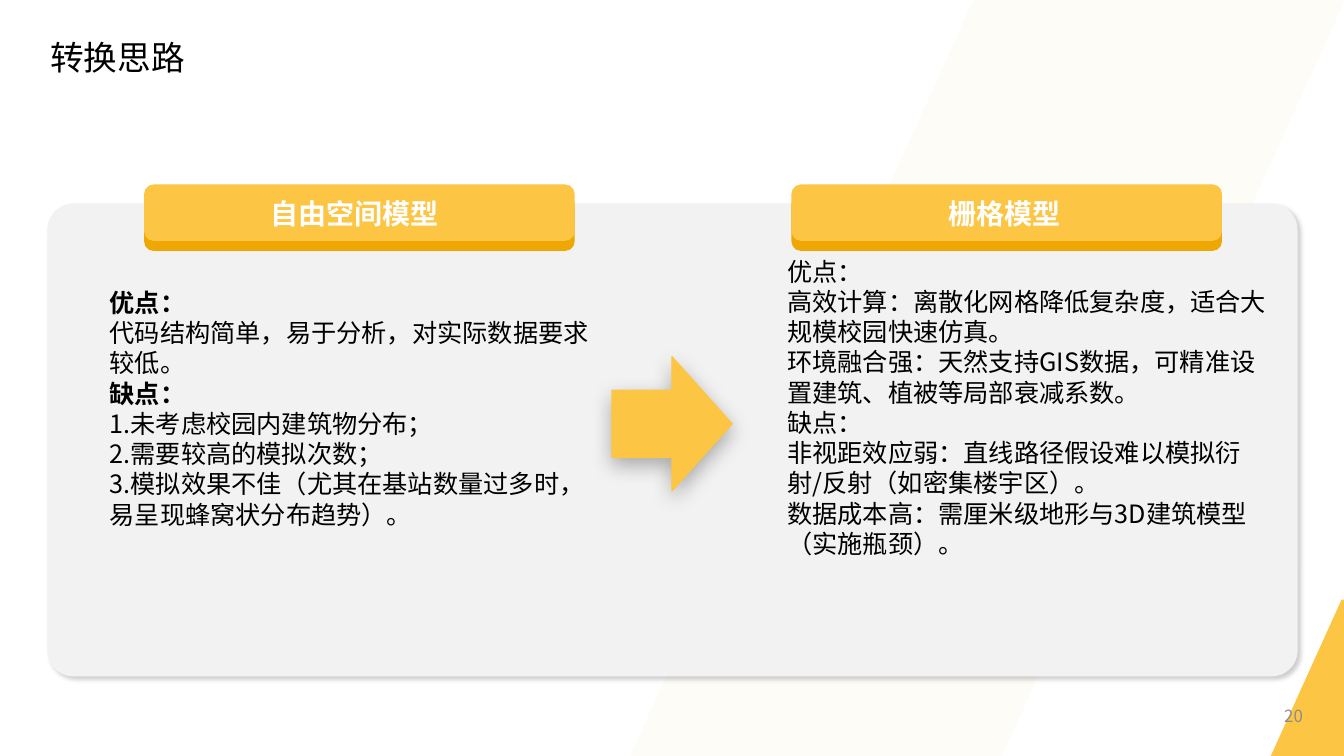
from dataclasses import dataclass

from lxml import etree
from pptx import Presentation
from pptx.dml.color import RGBColor
from pptx.enum.shapes import MSO_SHAPE
from pptx.enum.text import MSO_ANCHOR, PP_ALIGN
from pptx.oxml.ns import qn
from pptx.util import Emu, Pt

PX = 9144  # 100 px to the inch
PARALLELOGRAM = MSO_SHAPE.PARALLELOGRAM
ROUNDED = MSO_SHAPE.ROUNDED_RECTANGLE
RIGHT_ARROW = MSO_SHAPE.RIGHT_ARROW
LEFT, CENTER, RIGHT = PP_ALIGN.LEFT, PP_ALIGN.CENTER, PP_ALIGN.RIGHT
TOP, MIDDLE = MSO_ANCHOR.TOP, MSO_ANCHOR.MIDDLE


@dataclass(frozen=True)
class Theme:
    font: str = "Noto Sans CJK SC"
    accent: str = "FDC544"
    accent_dark: str = "EEA703"
    panel: str = "F2F2F2"
    ink: str = "000000"
    white: str = "FFFFFF"
    muted: str = "8C8C8C"
    title_size: int = 24
    heading_size: int = 20
    body_size: int = 18
    number_size: int = 12
    leading: float = 1.2


@dataclass(frozen=True)
class Shadow:
    opacity: int
    blur: int
    distance: int
    angle: int


class SlideBuilder:
    def __init__(self, slide, theme):
        self.slide = slide
        self.theme = theme

    def shape(self, kind, box, color, adjust=None, opacity=None, shadow=None, outline=False):
        shape = self.slide.shapes.add_shape(kind, *(Emu(v * PX) for v in box))
        if adjust is not None:
            shape.adjustments[0] = adjust
        shape.fill.solid()
        shape.fill.fore_color.rgb = RGBColor.from_string(color)
        if outline:
            shape.line.color.rgb = RGBColor.from_string(color)
            shape.line.width = Pt(1)
        else:
            shape.line.fill.background()
        shape.shadow.inherit = False
        properties = shape.fill._xPr
        if opacity is not None:
            self.set_opacity(properties.find(".//" + qn("a:srgbClr")), opacity)
        if shadow:
            self.cast_shadow(properties.find(qn("a:effectLst")), shadow)

    def set_opacity(self, color, percent):
        etree.SubElement(color, qn("a:alpha"), val=str(percent * 1000))

    def cast_shadow(self, effects, shadow):
        outer = etree.SubElement(
            effects, qn("a:outerShdw"), blurRad=str(Pt(shadow.blur)),
            dist=str(Pt(shadow.distance)), dir=str(shadow.angle * 60000),
            algn="ctr", rotWithShape="0")
        color = etree.SubElement(outer, qn("a:srgbClr"), val=self.theme.ink)
        self.set_opacity(color, shadow.opacity)

    def text(self, box, lines, size, color, align=LEFT, anchor=TOP, bold_lines=()):
        frame = self.slide.shapes.add_textbox(*(Emu(v * PX) for v in box)).text_frame
        frame.word_wrap = True
        frame.vertical_anchor = anchor
        for index, line in enumerate(lines):
            paragraph = frame.add_paragraph() if index else frame.paragraphs[0]
            paragraph.alignment = align
            paragraph.line_spacing = Pt(size * self.theme.leading)
            run = paragraph.add_run()
            run.text = line
            font = run.font
            font.size = Pt(size)
            font.bold = line in bold_lines
            font.color.rgb = RGBColor.from_string(color)
            font.name = self.theme.font
            etree.SubElement(font._rPr, qn("a:ea"), typeface=self.theme.font)

    def banner(self, left):
        """Draw a heading plate on its darker lower edge."""
        for top, color in ((193, self.theme.accent_dark), (183, self.theme.accent)):
            self.shape(ROUNDED, (left, top, 427, 56), color)


FREE_SPACE = [
    "优点：",
    "代码结构简单，易于分析，对实际数据要求较低。",
    "缺点：",
    "1.未考虑校园内建筑物分布；",
    "2.需要较高的模拟次数；",
    "3.模拟效果不佳（尤其在基站数量过多时，",
    "易呈现蜂窝状分布趋势）。",
]
GRID = [
    "优点：",
    "高效计算：离散化网格降低复杂度，适合大规模校园快速仿真。",
    "环境融合强：天然支持GIS数据，可精准设置建筑、植被等局部衰减系数。",
    "缺点：",
    "非视距效应弱：直线路径假设难以模拟衍射/反射（如密集楼宇区）。",
    "数据成本高：需厘米级地形与3D建筑模型（实施瓶颈）。",
]


def main():
    deck = Presentation()
    deck.slide_width, deck.slide_height = Emu(1333 * PX), Emu(750 * PX)
    theme = Theme()
    page = SlideBuilder(deck.slides.add_slide(deck.slide_layouts[6]), theme)

    page.shape(PARALLELOGRAM, (625, 0, 709, 750), theme.accent, adjust=0.48, opacity=4)
    page.text((40, 32, 1012, 91), ["转换思路"], theme.title_size, theme.ink)
    page.shape(PARALLELOGRAM, (1260, 595, 147, 156), theme.accent, adjust=0.48)
    page.shape(ROUNDED, (47, 202, 1240, 469), theme.panel, adjust=0.055,
               shadow=Shadow(19, 3, 3, 45))
    page.text((1257, 697, 45, 27), ["20"], theme.number_size, theme.muted, RIGHT, MIDDLE)

    models = (
        (143, "自由空间模型", (164, 190, 375, 49), FREE_SPACE, (99, 280, 517, 313),
         ("优点：", "缺点：")),
        (785, "栅格模型", (762, 190, 468, 55), GRID, (771, 249, 495, 344), ()),
    )
    for banner_left, heading, heading_box, points, points_box, bold_lines in models:
        page.banner(banner_left)
        page.text(heading_box, [heading], theme.heading_size, theme.white, CENTER,
                  bold_lines=(heading,))
        page.text(points_box, points, theme.body_size, theme.ink, bold_lines=bold_lines)

    page.shape(RIGHT_ARROW, (607, 354, 119, 133), theme.accent, outline=True,
               shadow=Shadow(30, 15, 5, 90))
    deck.save("out.pptx")


if __name__ == "__main__":
    main()
